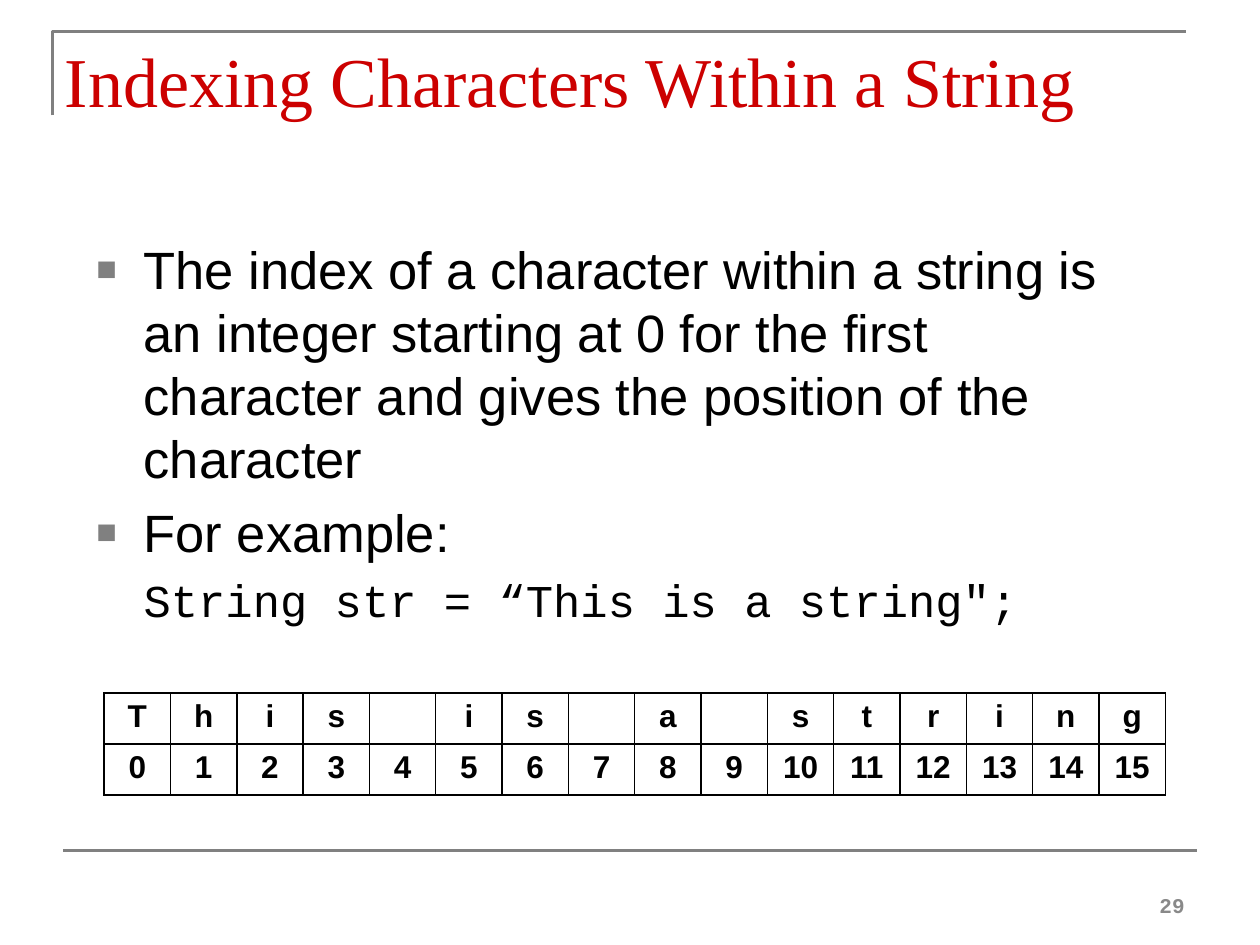
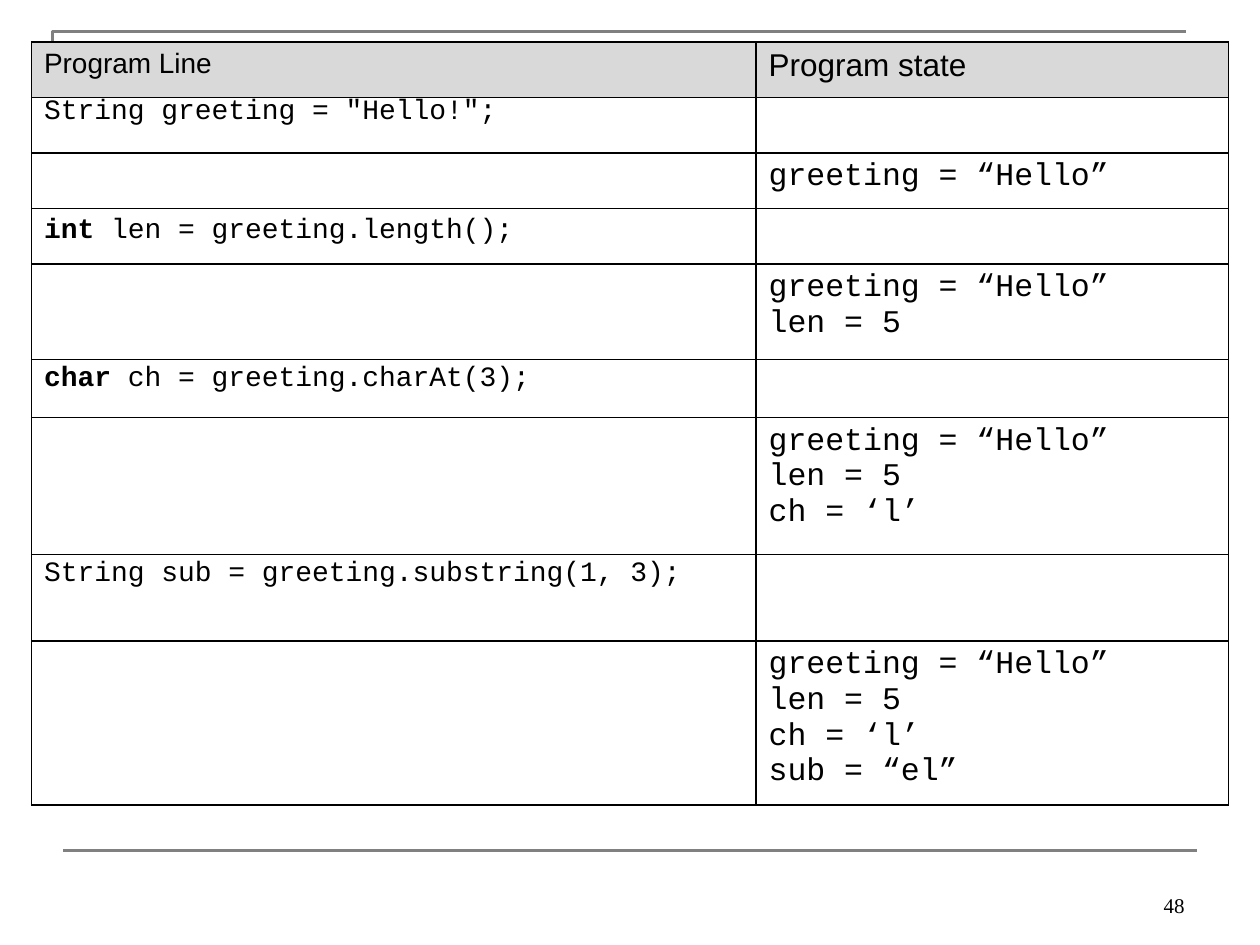
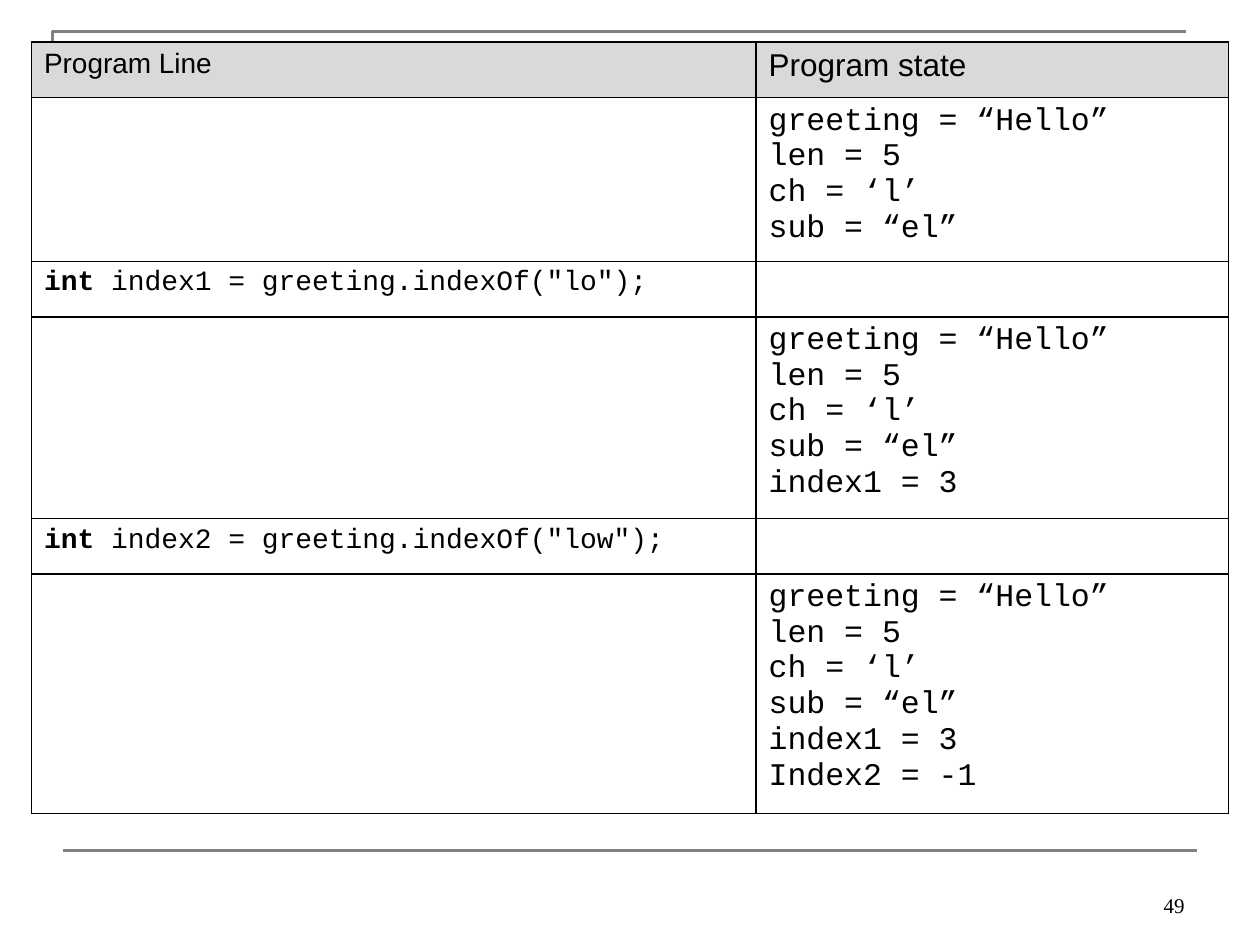
import pptx
import pptx.dml.color
import pptx.enum.shapes
import pptx.enum.text
import pptx.oxml
import pptx.oxml.ns
import pptx.util
import lxml.etree

Pt = pptx.util.Pt
GREY, BLACK, WHITE, RED = "808080", "000000", "FFFFFF", "CC0000"
HEADER_FILL, PALE_GREY = "D9D9D9", "898989"
SANS, SERIF, MONO = "Arial", "Times New Roman", "Courier New"
RIGHT = pptx.enum.text.PP_ALIGN.RIGHT
CENTER = pptx.enum.text.PP_ALIGN.CENTER


def paint(target, color):
    """Give a fill or a font a solid colour."""
    if hasattr(target, "solid"):
        target.solid()
        target.fore_color.rgb = pptx.dml.color.RGBColor.from_string(color)
    else:
        target.color.rgb = pptx.dml.color.RGBColor.from_string(color)


def style(para, name, size, color=BLACK, bold=False):
    """Set the font of a whole paragraph."""
    para.font.name = name
    para.font.size = Pt(size)
    para.font.bold = bold
    paint(para.font, color)


deck = pptx.Presentation()
deck.slide_width = Pt(720)
deck.slide_height = Pt(540)

# Frame lines and page number on every slide
pages = []
for number, name, color, bold in [
    ("29", MONO, PALE_GREY, True),
    ("48", SERIF, BLACK, False),
    ("49", SERIF, BLACK, False),
]:
    page = deck.slides.add_slide(deck.slide_layouts[6])
    pages.append(page)

    builder = page.shapes.build_freeform(Pt(30), Pt(66))
    builder.add_line_segments([(Pt(30), Pt(18)), (Pt(678), Pt(18))], close=False)
    corner = builder.convert_to_shape()
    corner.shadow.inherit = False
    corner.fill.background()
    rule = page.shapes.add_connector(
        pptx.enum.shapes.MSO_CONNECTOR.STRAIGHT, Pt(36), Pt(486), Pt(684), Pt(486))
    lxml.etree.SubElement(
        rule._element.spPr, pptx.oxml.ns.qn("a:effectLst"))
    for shape in (corner, rule):
        paint(shape.line.fill, GREY)
        shape.line.width = Pt(1.5)

    box = page.shapes.add_textbox(Pt(516), Pt(492), Pt(168), Pt(36))
    box.text_frame.word_wrap = True
    box.text_frame.vertical_anchor = pptx.enum.text.MSO_ANCHOR.BOTTOM
    para = box.text_frame.paragraphs[0]
    para.text = number
    para.alignment = RIGHT
    style(para, name, 12, color, bold)

# Slide 1: title
page = pages[0]
box = page.shapes.add_textbox(Pt(30), Pt(18), Pt(660), Pt(90))
box.text_frame.word_wrap = True
para = box.text_frame.paragraphs[0]
para.text = "Indexing Characters Within a String"
style(para, SERIF, 40, RED)

# Slide 1: bullets and the code line
box = page.shapes.add_textbox(Pt(48), Pt(132), Pt(612), Pt(252))
box.text_frame.word_wrap = True
for index, (text, name, size, margin, bulleted) in enumerate([
    ("The index of a character within a string is an integer starting at 0 "
     "for the first character and gives the position of the character",
     SANS, 30, 27, True),
    ("For example:", SANS, 30, 27, True),
    ("String str = “This is a string\";", MONO, 26, 53, False),
]):
    frame = box.text_frame
    para = frame.add_paragraph() if index else frame.paragraphs[0]
    para.text = text
    para.space_before = Pt(size * 0.2)
    style(para, name, size)
    properties = para._p.get_or_add_pPr()
    properties.set("marL", str(Pt(margin)))
    properties.set("indent", str(Pt(-27 if bulleted else -26)))
    if bulleted:
        for xml in (
            f'<a:buClr %s><a:srgbClr val="{GREY}"/></a:buClr>',
            '<a:buSzPct %s val="65000"/>',
            '<a:buFont %s typeface="Arial"/>',
            '<a:buChar %s char="■"/>',
        ):
            element = pptx.oxml.parse_xml(xml % pptx.oxml.ns.nsdecls("a"))
            properties.insert_element_before(element, "a:tabLst", "a:defRPr", "a:extLst")

# Slide 1: characters above their indices
sample = "This is a string"
index_table = page.shapes.add_table(
    2, len(sample), Pt(59.5), Pt(396), Pt(606.4), Pt(58.4)).table
for row in index_table.rows:
    row.height = Pt(29.2)
for position, character in enumerate(sample):
    index_table.columns[position].width = Pt(37.9)
    for row, text in enumerate((character.strip(), str(position))):
        para = index_table.cell(row, position).text_frame.paragraphs[0]
        para.text = text
        para.alignment = CENTER
        style(para, SANS, 18, bold=True)

# Slides 2 and 3: each row holds a program line or the first lines of the state
state = ["greeting = “Hello”", "len = 5", "ch = ‘l’", "sub = “el”",
         "index1 = 3", "Index2 = -1"]
keywords = ("int", "char")
# Code, line spacing, number of state lines, row height
first_trace = [
    ('String greeting = "Hello!";', 0.6, 0, 31.7),
    ("", None, 1, 31.7),
    ("int len = greeting.length();", None, 0, 31.7),
    ("", None, 2, 54.8),
    ("char ch = greeting.charAt(3);", 0.8, 0, 33),
    ("", None, 3, 78.4),
    ("String sub = greeting.substring(1, 3);", 0.8, 0, 49.4),
    ("", None, 4, 89),
]
second_trace = [
    ("", None, 4, 89),
    ('int index1 = greeting.indexOf("lo");', None, 0, 31.7),
    ("", None, 5, 109.4),
    ('int index2 = greeting.indexOf("low");', None, 0, 31.7),
    ("", None, 6, 129.8),
]
trace_tables = []
for page, trace in zip(pages[1:], (first_trace, second_trace)):
    height = 31.7 + sum(entry[3] for entry in trace)
    table = page.shapes.add_table(
        len(trace) + 1, 2, Pt(18), Pt(24), Pt(684), Pt(height)).table
    trace_tables.append(table)
    table.columns[0].width = Pt(414)
    table.columns[1].width = Pt(270)
    table.rows[0].height = Pt(31.7)
    for column, (text, size) in enumerate([("Program Line", 16), ("Program state", 18)]):
        para = table.cell(0, column).text_frame.paragraphs[0]
        para.text = text
        style(para, SANS, size)
    for row, (code, spacing, count, row_height) in enumerate(trace, start=1):
        table.rows[row].height = Pt(row_height)
        if code:
            para = table.cell(row, 0).text_frame.paragraphs[0]
            style(para, MONO, 16)
            if spacing:
                para.line_spacing = spacing
            word = code.split()[0]
            if word in keywords:
                span = para.add_run()
                span.text = word
                span.font.bold = True
                code = code[len(word):]
            para.add_run().text = code
        frame = table.cell(row, 1).text_frame
        for index, text in enumerate(state[:count]):
            para = frame.add_paragraph() if index else frame.paragraphs[0]
            para.text = text
            style(para, MONO, 18)

# Plain cells with thin black borders in all tables
for table in [index_table] + trace_tables:
    table.first_row = False
    table.horz_banding = False
    for row_index, row in enumerate(table.rows):
        is_header = row_index == 0 and table is not index_table
        for cell in row.cells:
            properties = cell._tc.get_or_add_tcPr()
            for side in ("lnL", "lnR", "lnT", "lnB"):
                properties.append(pptx.oxml.parse_xml(
                    f'<a:{side} {pptx.oxml.ns.nsdecls("a")} w="{Pt(1)}"><a:solidFill>'
                    f'<a:srgbClr val="{BLACK}"/></a:solidFill></a:{side}>'))
            paint(cell.fill, HEADER_FILL if is_header else WHITE)

deck.save("out.pptx")
